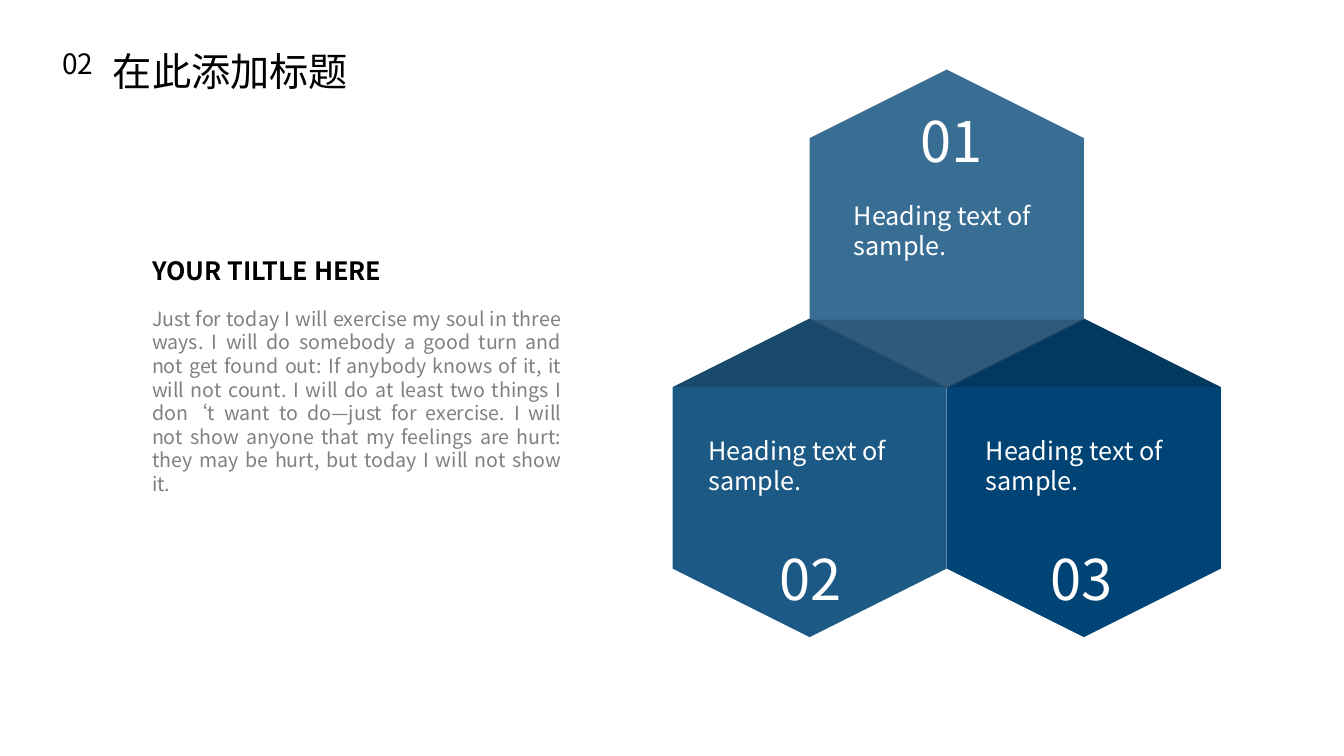
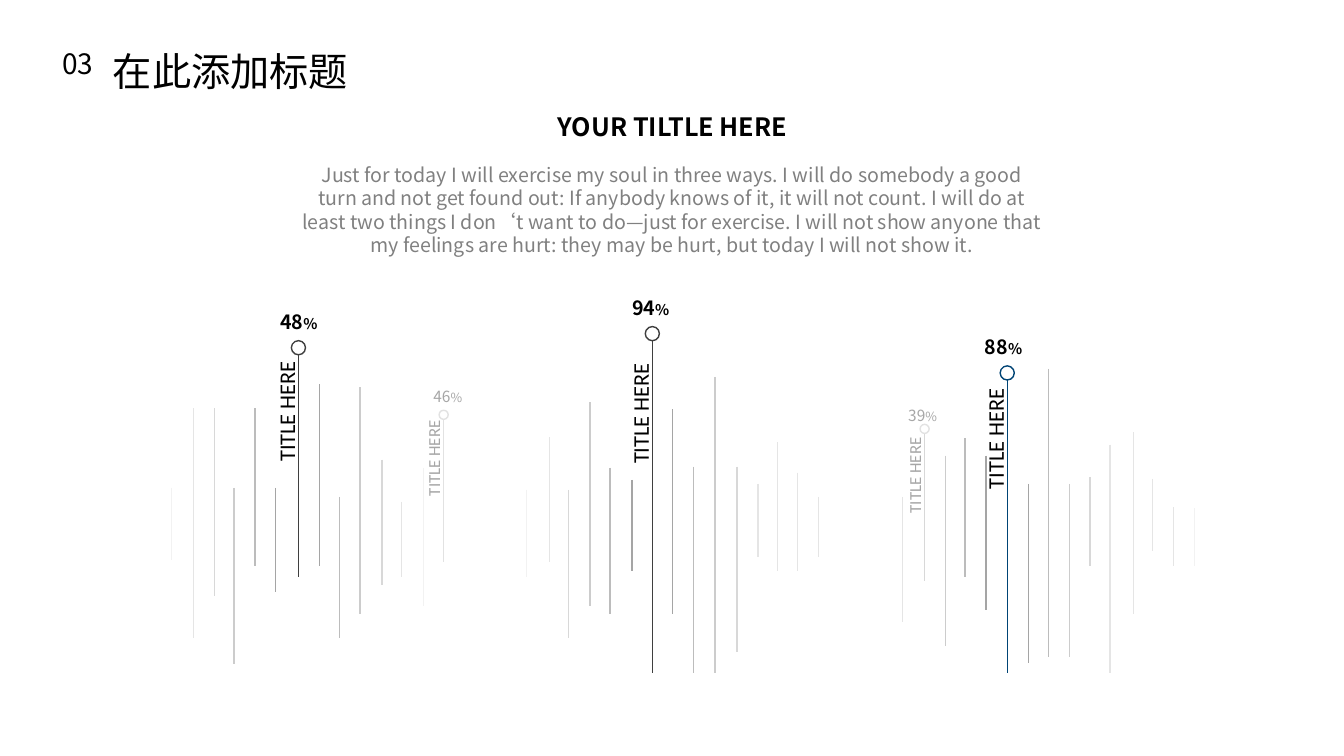
from dataclasses import dataclass

from lxml import etree
from pptx import Presentation
from pptx.dml.color import RGBColor
from pptx.enum.shapes import MSO_CONNECTOR, MSO_SHAPE
from pptx.enum.text import MSO_ANCHOR, MSO_AUTO_SIZE, PP_ALIGN
from pptx.oxml.ns import qn
from pptx.util import Inches, Pt

LEFT, CENTER, JUSTIFY = PP_ALIGN.LEFT, PP_ALIGN.CENTER, PP_ALIGN.JUSTIFY
TOP, NO_FIT = MSO_ANCHOR.TOP, MSO_AUTO_SIZE.NONE
HEXAGON, OVAL = MSO_SHAPE.HEXAGON, MSO_SHAPE.OVAL
STRAIGHT = MSO_CONNECTOR.STRAIGHT
TITLE_ONLY = 5


@dataclass(frozen=True)
class Style:
    size: float
    color: str = "000000"
    bold: bool = False
    font: str = "Noto Sans CJK SC"
    leading: float = 1.2  # line height as a share of the type size
    drop: float = 0.07    # extra top inset as a share of the type size


@dataclass(frozen=True)
class Theme:
    width: float = 13.33
    height: float = 7.5
    navy: str = "004475"
    blue: str = "1C5984"
    steel: str = "396E94"
    shade: str = "0D0D0D"
    dark: str = "3F3F3F"
    ring: str = "E2E2E2"
    pale: str = "D8D8D8"
    number: Style = Style(20)
    title: Style = Style(28)
    heading: Style = Style(18, bold=True)
    body: Style = Style(14, "808080")
    hex_number: Style = Style(40, "FFFFFF")
    hex_text: Style = Style(18, "FFFFFF")
    value: Style = Style(14, bold=True)
    small_value: Style = Style(11, "A6A6A6")
    label: Style = Style(16, font="Calibri", leading=0, drop=0)
    small_label: Style = Style(12, "A6A6A6", font="Calibri", leading=0, drop=0)


T = Theme()

TITLE = "在此添加标题"
HEADING = "YOUR TILTLE HERE"
BODY = ("Just for today I will exercise my soul in three ways. I will do somebody "
        "a good turn and not get found out: If anybody knows of it, it will not "
        "count. I will do at least two things I don‘t want to do—just for "
        "exercise. I will not show anyone that my feelings are hurt: they may be "
        "hurt, but today I will not show it.")

# Hexagons: colour, column, row, number, number position, text position
HEXAGONS = [
    (T.navy, 1.5, 1, "03", (-0.43, 0.57), (-1.07, -0.49)),
    (T.blue, 0.5, 1, "02", (-0.4, 0.57), (-1.1, -0.49)),
    (T.steel, 1, 0, "01", (-0.36, -1.3), (-1.02, -0.35)),
]

# Background bars by grey: x, top, bottom within the chart box
BARS = {
    "F2F2F2": [(0.7, 1.84, 2.56), (3.2, 1.64, 3.01), (4.22, 1.86, 2.72),
               (10.85, 2.04, 2.62)],
    "E5E5E5": [(0.92, 1.05, 3.33), (2.98, 1.98, 2.72), (4.45, 1.34, 2.58),
               (6.52, 1.8, 2.53), (6.71, 1.39, 2.66), (6.91, 1.69, 2.66),
               (7.12, 1.93, 2.53), (7.95, 1.93, 3.17), (10.01, 1.41, 3.68),
               (10.24, 1.29, 3.09), (10.43, 1.75, 2.47), (10.64, 2.03, 2.62)],
    "D8D8D8": [(1.13, 1.05, 2.91), (2.79, 1.56, 2.8), (4.64, 1.86, 3.33),
               (6.31, 1.63, 3.47), (9.81, 1.73, 2.62)],
    "CCCCCC": [(1.32, 1.84, 3.59), (2.57, 0.84, 3.09), (4.85, 0.99, 3.01),
               (6.09, 0.74, 3.68), (8.38, 1.52, 3.41), (9.61, 1.8, 3.52)],
    "BCBCBC": [(1.53, 1.05, 2.62), (2.37, 1.93, 3.33), (5.05, 1.64, 3.09),
               (5.88, 1.63, 3.68), (8.57, 1.35, 2.72), (9.4, 0.66, 3.52)],
    "A5A5A5": [(1.73, 1.84, 2.87), (2.17, 0.81, 2.62), (5.27, 1.76, 2.66),
               (5.67, 1.06, 3.09), (8.78, 1.52, 3.05), (9.2, 1.8, 3.58)],
}

# Marked stems: x, ring top, bottom, value, value left and top, label middle,
# stem colour, ring colour
MARKERS = [
    (1.96, 0.38, 2.72, "48", (1.68, 0.01), 1.07, T.dark, T.dark),
    (5.47, 0.24, 3.68, "94", (5.17, -0.13), 1.09, T.dark, T.dark),
    (8.99, 0.63, 3.68, "88", (8.67, 0.26), 1.34, T.navy, T.navy),
]
SMALL_MARKERS = [
    (3.4, 1.07, 2.58, "46", (3.2, 0.78), 1.54, T.ring, T.ring),
    (8.17, 1.21, 2.76, "39", (7.91, 0.97), 1.71, T.pale, T.ring),
]


def inches(*values):
    return [Inches(v) for v in values]


def rgb(color):
    return RGBColor.from_string(color)


def write(shape, runs, style, align=LEFT, wrap=False):
    """Fill a text frame with one paragraph of (text, size) runs."""
    tf = shape.text_frame
    frame = dict(word_wrap=wrap, auto_size=NO_FIT, vertical_anchor=TOP,
                 margin_left=Inches(0.1), margin_right=Inches(0.1),
                 margin_top=Inches(0.05) + Pt(style.size * style.drop),
                 margin_bottom=Inches(0.05))
    for name, value in frame.items():
        setattr(tf, name, value)
    p = tf.paragraphs[0]
    p.alignment = align
    if style.leading:
        p.line_spacing = Pt(style.size * style.leading)
    for text, size in runs:
        r = p.add_run()
        r.text = text
        for name, value in dict(size=Pt(size), bold=style.bold,
                                name=style.font).items():
            setattr(r.font, name, value)
        r.font.color.rgb = rgb(style.color)
        r.font._element.find(qn("a:latin")).addnext(
            etree.Element(qn("a:ea"), typeface=style.font))


def add_text(s, box, text, style, **options):
    sp = s.shapes.add_textbox(*inches(*box))
    runs = [(text, style.size)] if isinstance(text, str) else text
    write(sp, runs, style, **options)
    return sp


def add_line(s, x, top, bottom, color):
    line = s.shapes.add_connector(STRAIGHT, *inches(x, top, x, bottom))
    line.line.color.rgb = rgb(color)
    line.line.width = Pt(1)
    etree.SubElement(line._element.spPr, qn("a:effectLst"))


def add_titled_slide(prs, number):
    """Slide with the shared number and title."""
    s = prs.slides.add_slide(prs.slide_layouts[TITLE_ONLY])
    add_text(s, (0.52, 0.39, 0.53, 0.44), number, T.number)
    title = s.shapes.title
    title.left, title.top, title.width, title.height = inches(1.02, 0.39, 2.56, 0.57)
    write(title, [(TITLE, T.title.size)], T.title)
    return s


def add_intro(s, box, heading_left, heading_align, body_align):
    """Heading with the paragraph half an inch below it."""
    x, y, w, h = box
    add_text(s, (heading_left, y, 3.08, 0.4), HEADING, T.heading,
             align=heading_align, wrap=True)
    add_text(s, (x, y + 0.51, w, h - 0.51), BODY, T.body,
             align=body_align, wrap=True)


def add_overlap(s, cx, tip, base, half):
    """Translucent triangle that darkens one hexagon corner."""
    points = [(Inches(cx + dx), Inches(y))
              for dx, y in ((0, tip), (half, base), (-half, base))]
    builder = s.shapes.build_freeform(*points[0])
    builder.add_line_segments(points[1:], close=True)
    sp = builder.convert_to_shape()
    sp.shadow.inherit = False
    sp.fill.solid()
    sp.fill.fore_color.rgb = rgb(T.shade)
    sp.line.fill.background()
    color = sp._element.spPr.find(".//" + qn("a:srgbClr"))
    etree.SubElement(color, qn("a:alpha"), val="20000")


def add_hexagons(s, box):
    """Three upright hexagons, one above two, meeting in the middle."""
    x, y, w, h = box
    wide, tall = w / 2, 3.16
    corner = wide / 4
    cells = [(x + col * wide, y + tall / 2 + row * (h - tall), row, rest)
             for _, col, row, *rest in HEXAGONS]
    for (color, *_), (cx, cy, _, _) in zip(HEXAGONS, cells):
        sp = s.shapes.add_shape(HEXAGON, *inches(cx - tall / 2, cy - wide / 2,
                                                 tall, wide))
        sp.rotation = 270
        sp.adjustments[0] = 0.25
        sp.shadow.inherit = False
        sp.fill.solid()
        sp.fill.fore_color.rgb = rgb(color)
        sp.line.fill.background()
    for cx, cy, row, _ in cells:
        side = -1 if row else 1
        tip = cy + side * tall / 2
        add_overlap(s, cx, tip, tip - side * corner, wide / 2)
    for cx, cy, _, (number, (nx, ny), (tx, ty)) in cells:
        add_text(s, (cx + nx, cy + ny, 0.82, 0.77), number, T.hex_number)
        add_text(s, (cx + tx, cy + ty, 2.19, 0.71), "Heading text of sample.",
                 T.hex_text, wrap=True)


def add_marker(s, origin, marker, ring, value_style, percent_size, value_size,
               label_style, label_size, label_gap):
    """Stem with a ring on top, a percentage and an upright label."""
    x0, y0 = origin
    x, top, bottom, value, (vx, vy), middle, stem_color, ring_color = marker
    x, top = x + x0, top + y0
    add_line(s, x, top + ring, bottom + y0, stem_color)
    sp = s.shapes.add_shape(OVAL, *inches(x - ring / 2, top, ring, ring))
    sp.shadow.inherit = False
    sp.fill.background()
    sp.line.color.rgb = rgb(ring_color)
    sp.line.width = Pt(1)
    add_text(s, (vx + x0, vy + y0, *value_size),
             [(value, value_style.size), ("%", percent_size)], value_style)
    w, h = label_size
    label = add_text(s, (x - label_gap - w / 2, middle + y0 - h / 2, w, h),
                     "TITLE HERE", label_style)
    label.rotation = 270


def add_bar_field(s, origin):
    """Grey bars with the marked stems over them."""
    x0, y0 = origin
    for color, bars in BARS.items():
        for x, top, bottom in bars:
            add_line(s, x + x0, top + y0, bottom + y0, color)
    for marker in MARKERS:
        add_marker(s, origin, marker, 0.14, T.value, 10.5, (0.58, 0.34),
                   T.label, (1.22, 0.37), 0.12)
    for marker in SMALL_MARKERS:
        add_marker(s, origin, marker, 0.09, T.small_value, 9, (0.5, 0.29),
                   T.small_label, (0.96, 0.3), 0.1)


def main():
    prs = Presentation()
    prs.slide_width, prs.slide_height = inches(T.width, T.height)

    # Hexagon slide
    s = add_titled_slide(prs, "02")
    add_hexagons(s, (6.67, 0.69, 5.44, 5.63))
    add_intro(s, (1.41, 2.47, 4.26, 2.5), 1.41, LEFT, JUSTIFY)

    # Bar slide
    s = add_titled_slide(prs, "03")
    add_bar_field(s, (1, 3))
    add_intro(s, (2.9, 1.04, 7.53, 1.55), 5.13, CENTER, CENTER)

    prs.save("out.pptx")


if __name__ == "__main__":
    main()
